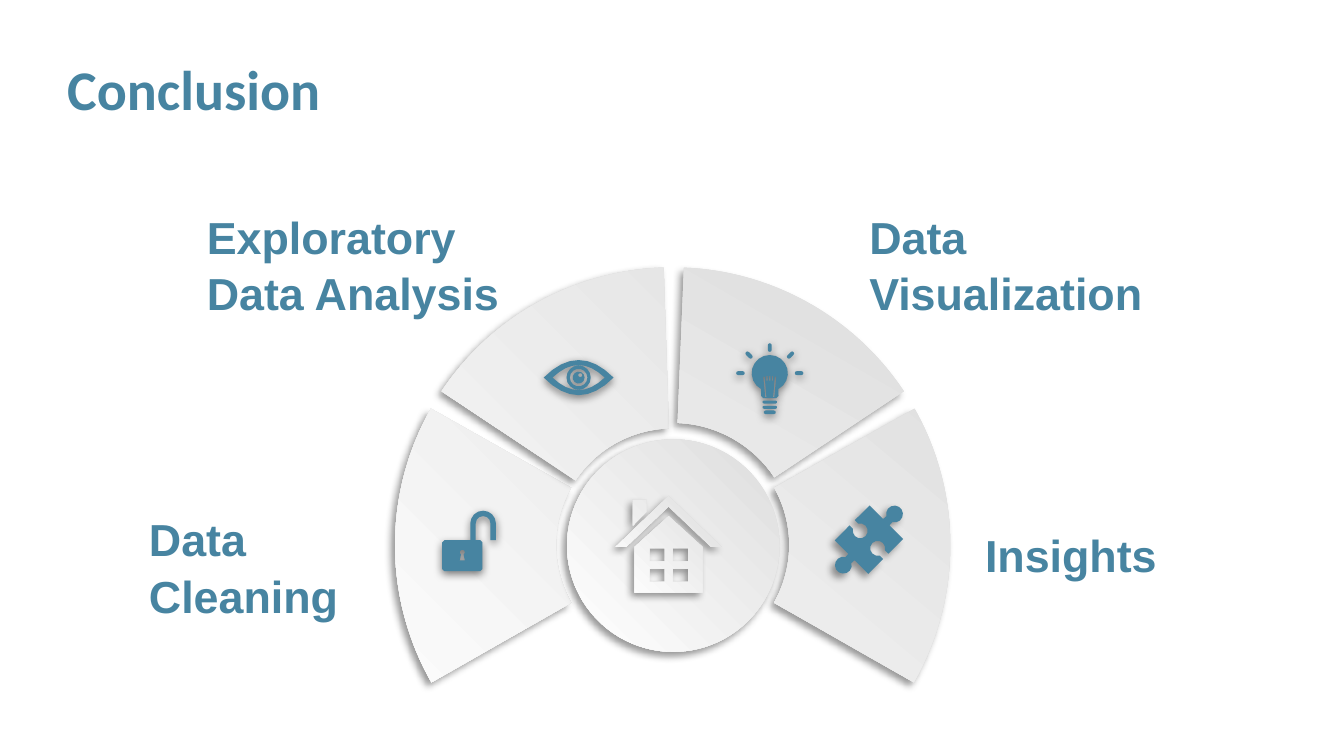
"""Build the conclusion slide: a wheel of four steps around a house."""
import dataclasses
import math
import typing

import lxml.etree
import pptx
import pptx.dml.color
import pptx.enum.shapes
import pptx.enum.text
import pptx.oxml.ns
import pptx.shapes.autoshape
import pptx.slide
import pptx.util

Points = list[tuple[float, float]]
Pt = pptx.util.Pt
BLUE = "4784A1"
WHEEL = (211.7, 143.3, 297.4, 297.4)
HUB = (303.8, 235.4, 113.8, 113.8)


class Shadow(typing.NamedTuple):
    opacity: int
    blur: float
    distance: float
    angle: int


RAISED = Shadow(40, 4, 3, 135)
DROPPED = Shadow(50, 4.5, 1.5, 90)


@dataclasses.dataclass
class Sector:
    start: float
    end: float
    thickness: float
    light: int
    mirrored: bool = False


@dataclasses.dataclass
class Label:
    text: str
    left: float
    top: float
    width: float


@dataclasses.dataclass
class Icon:
    x: float
    y: float
    contours: list[Points]
    rotation: int = 0
    shadow: Shadow = DROPPED
    light: int | None = None


def color(value: str) -> pptx.dml.color.RGBColor:
    return pptx.dml.color.RGBColor.from_string(value)


def arc(x: float, y: float, radius: float, start: float = 0, end: float = 360) -> Points:
    steps = math.ceil(abs(end - start) * math.sqrt(radius) / 60)
    angles = [math.radians(start + (end - start) * step / steps) for step in range(steps + 1)]
    return [(x + radius * math.cos(a), y + radius * math.sin(a)) for a in angles]


def turn(points: Points, degrees: float) -> Points:
    c, s = math.cos(math.radians(degrees)), math.sin(math.radians(degrees))
    return [(x * c - y * s, x * s + y * c) for x, y in points]


def lens(width: float, height: float) -> Points:
    lid = [(width * step / 4, height * (step * step / 16 - 1)) for step in range(-4, 4)]
    return lid + turn(lid, 180)


def rectangle(x: float, y: float, width: float, height: float) -> Points:
    return [(x, y), (x + width, y), (x + width, y + height), (x, y + height)]


def capsule(x: float, y: float, length: float, thickness: float, angle: float = 0) -> Points:
    radius = thickness / 2
    cap = arc(length / 2 - radius, 0, radius, -90, 90)
    return [(x + dx, y + dy) for dx, dy in turn(cap + turn(cap, 180), angle)]


def mirror(points: Points) -> Points:
    return [(-x, y) for x, y in points]


def eye() -> list[Points]:
    return [lens(18.7, 9.4), lens(14, 6.7), arc(0, 0, 6.5), arc(0, 0, 4.7),
            arc(0, 0, 3.2), arc(0.9, -1.3, 1.1)]


def bulb() -> list[Points]:
    glass = arc(0, -3.1, 9.7, 118, 422) + [(4.7, 9), (3.5, 10.3), (-3.5, 10.3), (-4.7, 9)]
    leg = [(-3.5, -1.2), (-2.7, -1.2), (-1.8, 9.8), (-2.4, 9.8)]
    coil = [rectangle(x, -1.7, 0.6, 2.6) for x in (-1.8, -0.3, 1.2)]
    base = [capsule(0, 12.4, 7.9, 1.6), capsule(0, 15.2, 7.9, 1.6), capsule(0, 17.9, 6.5, 2)]
    rays = [capsule(15.7 * math.cos(math.radians(angle)), -3.1 + 13.7 * math.sin(math.radians(angle)),
                    4.6, 2.1, angle) for angle in range(180, 361, 45)]
    return [glass, leg, mirror(leg), *coil, *base, *rays]


def padlock() -> list[Points]:
    shackle = [(0.7, -0.4), *arc(7.55, -9.35, 6.85, 180, 360), (14.4, -0.4), (11.5, -0.4),
               *arc(7.55, -9.35, 3.95, 360, 180), (3.6, -0.4)]
    body = [(6, -0.4), (7.2, 0.8), (7.2, 15), (6, 16.2),
            (-13.2, 16.2), (-14.4, 15), (-14.4, 0.8), (-13.2, -0.4)]
    keyhole = arc(-3.6, 6.1, 1.4, 120, 420) + [(-2.2, 10.4), (-5, 10.4)]
    return [shackle + body, keyhole]


def puzzle() -> list[Points]:
    half = [(-12.7, -13.2), (-2.4, -13.2), *arc(0, -19.4, 4.5, 120, 420), (2.4, -13.2),
            (12.7, -13.2), (12.7, -2), *arc(6.6, 0, 4, -30, -330), (12.7, 2)]
    return [turn(half + turn(half, 180), 45)]


def house() -> list[Points]:
    windows = [rectangle(x, y, 8.3, 7.2) for y in (2, 13) for x in (-10.3, 2.2)]
    walls = [(0, -15.1), (18.2, 1.4), (18.2, 25.9), (-18.2, 25.9), (-18.2, 1.4)]
    chimney = [(-19.1, -23.8), (-11.9, -23.8), (-11.9, -17.3), (-19.1, -10)]
    slope = [(0, -25.9), (28.4, 1.4), (22.7, 1.4), (0, -20.2)]
    return [*windows, walls, chimney, slope + mirror(slope[2:0:-1])]


SECTORS = [
    Sector(90.19, 125.64, 0.29, 135),
    Sector(128.17, 160.88, 0.29, 135),
    Sector(90.19, 125.64, 0.29, 50, mirrored=True),
    Sector(128.17, 160.6, 0.28, 60, mirrored=True),
]
LABELS = [
    Label("Data\nCleaning", 72.7, 269.3, 134.6),
    Label("Exploratory Data Analysis", 103.7, 107.3, 174.2),
    Label("Data Visualization", 458.6, 107.3, 190.8),
    Label("Insights", 520.6, 277.9, 157),
]
ICONS = [
    Icon(465.5, 289.1, puzzle(), rotation=45, shadow=RAISED),
    Icon(310, 202.3, eye()),
    Icon(412.3, 202.9, bulb(), rotation=270),
    Icon(251.3, 289.8, padlock()),
    Icon(358.2, 291.6, house(), shadow=RAISED, light=135),
]


def finish(shape: pptx.shapes.autoshape.Shape, shadow: Shadow, light: int | None) -> None:
    if light is None:
        shape.fill.solid()
        shape.fill.fore_color.rgb = color(BLUE)
    else:
        shape.fill.gradient()
        shape.fill.gradient_angle = 360 - light
        for stop, shade in zip(shape.fill.gradient_stops, ("DDDDDD", "FFFFFF")):
            stop.color.rgb = color(shade)
    shape.line.fill.background()
    shape.shadow.inherit = False
    qn = pptx.oxml.ns.qn
    effects = shape.element.spPr.find(qn("a:effectLst"))
    outer = lxml.etree.SubElement(effects, qn("a:outerShdw"), blurRad=str(Pt(shadow.blur)),
                                  dist=str(Pt(shadow.distance)), dir=str(shadow.angle * 60000),
                                  algn="ctr", rotWithShape="0")
    black = lxml.etree.SubElement(outer, qn("a:srgbClr"), val="000000")
    lxml.etree.SubElement(black, qn("a:alpha"), val=str(shadow.opacity * 1000))


def draw_sector(page: pptx.slide.Slide, sector: Sector) -> None:
    shape = page.shapes.add_shape(pptx.enum.shapes.MSO_SHAPE.BLOCK_ARC, *map(Pt, WHEEL))
    for index, value in enumerate((sector.start, sector.end, sector.thickness)):
        shape.adjustments[index] = value
    if sector.mirrored:
        shape.element.spPr.xfrm.set("flipH", "1")
    finish(shape, RAISED, sector.light)


def draw_icon(page: pptx.slide.Slide, icon: Icon) -> None:
    contours = [[(Pt(icon.x + x), Pt(icon.y + y)) for x, y in turn(contour, -icon.rotation)]
                for contour in icon.contours]
    builder = page.shapes.build_freeform(*contours[0][0])
    for contour in contours:
        if contour is not contours[0]:
            builder.move_to(*contour[0])
        builder.add_line_segments(contour[1:], close=True)
    shape = builder.convert_to_shape()
    shape.rotation = icon.rotation
    finish(shape, icon.shadow, icon.light)


def write(box: pptx.shapes.autoshape.Shape, text: str, *, font: str, size: float,
          anchor: pptx.enum.text.MSO_ANCHOR, spacing: float = 1.0) -> None:
    frame = box.text_frame
    frame.word_wrap = True
    frame.auto_size = pptx.enum.text.MSO_AUTO_SIZE.NONE
    frame.vertical_anchor = anchor
    frame.text = text
    for para in frame.paragraphs:
        para.alignment = pptx.enum.text.PP_ALIGN.LEFT
        para.line_spacing = spacing
        for span in para.runs:
            span.font.name, span.font.size, span.font.bold = font, Pt(size), True
            span.font.color.rgb = color(BLUE)


def main() -> None:
    deck = pptx.Presentation()
    deck.slide_width, deck.slide_height = Pt(720), Pt(405)
    page = deck.slides.add_slide(deck.slide_layouts[5])
    title = page.shapes.title
    title.left, title.top, title.width, title.height = map(Pt, (28.8, 24.5, 614.9, 45.4))
    write(title, "Conclusion", font="Calibri", size=30, anchor=pptx.enum.text.MSO_ANCHOR.MIDDLE)
    for sector in SECTORS:
        draw_sector(page, sector)
    hub = page.shapes.add_shape(pptx.enum.shapes.MSO_SHAPE.OVAL, *map(Pt, HUB))
    finish(hub, RAISED, 135)
    for label in LABELS:
        box = page.shapes.add_textbox(*map(Pt, (label.left, label.top, label.width, 46.1)))
        write(box, label.text, font="Arial", size=24, spacing=1.05,
              anchor=pptx.enum.text.MSO_ANCHOR.TOP)
    for icon in ICONS:
        draw_icon(page, icon)
    deck.save("out.pptx")


if __name__ == "__main__":
    main()
